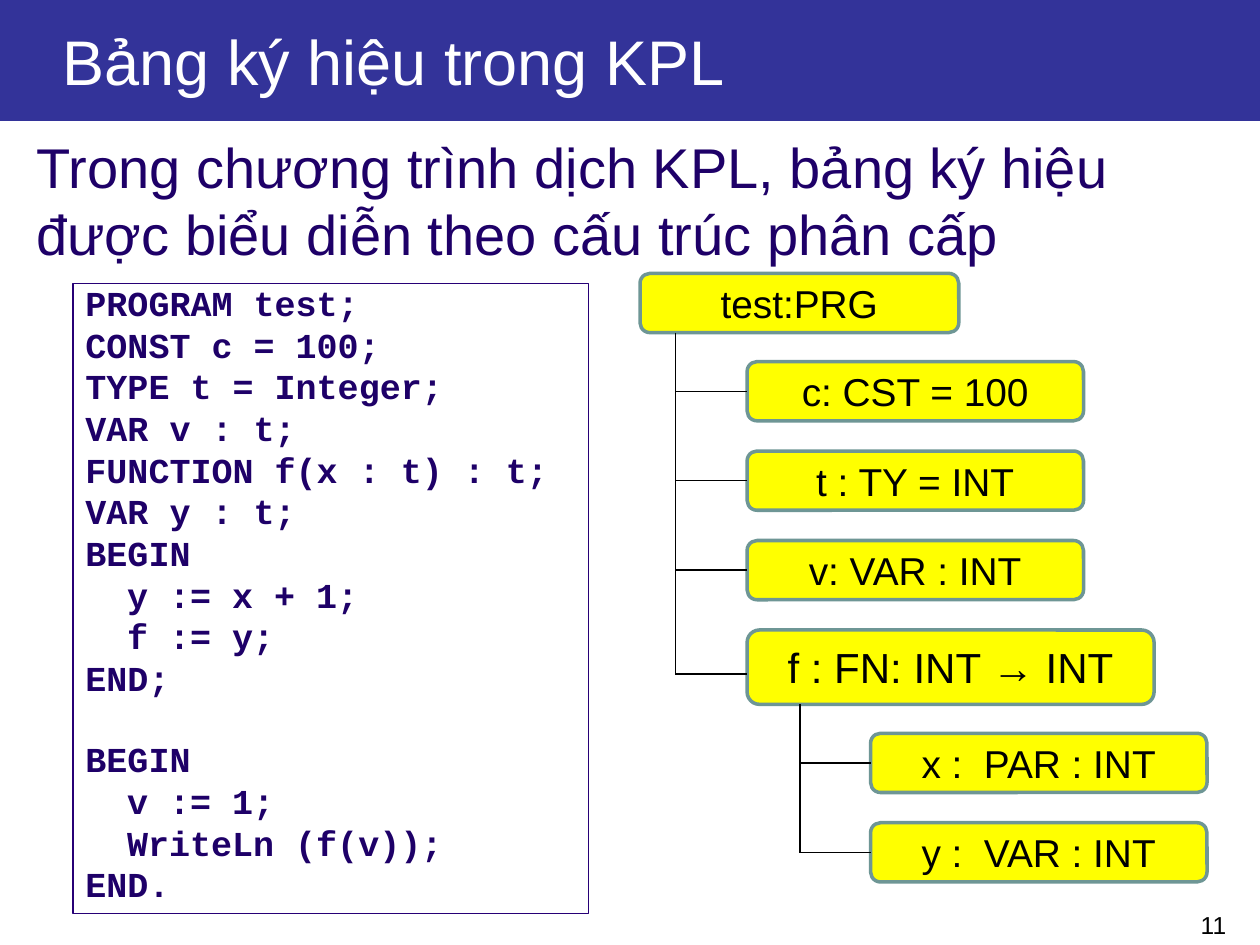
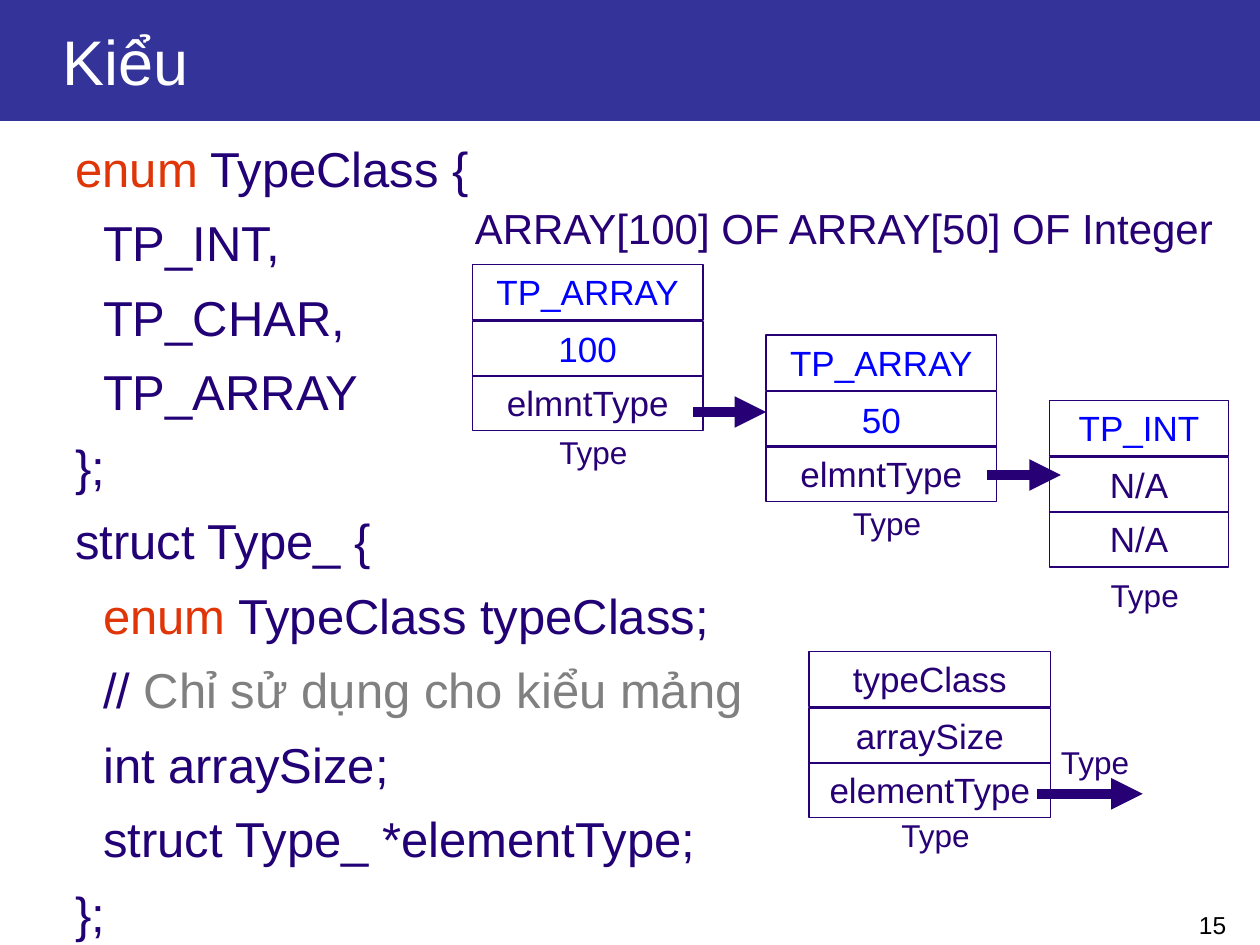
from pptx import Presentation
from pptx import util as u
from pptx.dml.color import RGBColor
from pptx.enum import shapes, text
from pptx.oxml.ns import qn
from lxml import etree

INDIGO, INK, CODE, PURPLE = "333399", "270076", "1E0068", "220076"
RED, GREY, BLUE = "DF3507", "808080", "0000FF"
BLACK, WHITE, YELLOW, TEAL = "000000", "FFFFFF", "FFFF00", "6E9695"
LEFT, CENTER, RIGHT = (text.PP_ALIGN.LEFT, text.PP_ALIGN.CENTER,
                       text.PP_ALIGN.RIGHT)
TOP, MIDDLE = text.MSO_ANCHOR.TOP, text.MSO_ANCHOR.MIDDLE
RECT, ROUND = (shapes.MSO_SHAPE.RECTANGLE,
               shapes.MSO_SHAPE.ROUNDED_RECTANGLE)
NODE_H, NODE_STEP = 0.47, 0.71


def rgb(value):
    """Turn a hex string into a colour."""
    return RGBColor.from_string(value)


def inches(values):
    """Turn numbers into lengths."""
    return [u.Inches(v) for v in values]


def set_all(obj, values):
    """Set attributes from a dict."""
    for name, value in values.items():
        setattr(obj, name, value)


def set_frame(sp, anchor=TOP, left=0.1):
    """Set margins, wrapping and anchor of a shape's text frame."""
    tf = sp.text_frame
    side, edge = u.Inches(0.1), u.Inches(0.05)
    set_all(tf, {"word_wrap": True, "vertical_anchor": anchor,
                 "margin_left": u.Inches(left), "margin_right": side,
                 "margin_top": edge, "margin_bottom": edge})
    return tf


def add_run(p, content, size, color, font="Arial", bold=False):
    """Append a formatted run to a paragraph."""
    r = p.add_run()
    r.text = content
    set_all(r.font, {"size": u.Pt(size), "name": font, "bold": bold})
    r.font.color.rgb = rgb(color)


def write(sp, content, size, color, align=LEFT, anchor=TOP, left=0.1):
    """Write one paragraph into a shape."""
    p = set_frame(sp, anchor, left).paragraphs[0]
    p.alignment = align
    add_run(p, content, size, color)


def add_label(s, box, content, size, color, align=LEFT):
    """Add a text box with one paragraph."""
    write(s.shapes.add_textbox(*inches(box)), content, size, color, align)


def add_box(s, box, kind=RECT, fill=None, line=None, width=0.75):
    """Add a preset shape without shadow."""
    sp = s.shapes.add_shape(kind, *inches(box))
    sp.shadow.inherit = False
    if fill:
        sp.fill.solid()
        sp.fill.fore_color.rgb = rgb(fill)
    else:
        sp.fill.background()
    if line:
        sp.line.color.rgb = rgb(line)
        sp.line.width = u.Pt(width)
    else:
        sp.line.fill.background()
    return sp


def add_line(s, ends, color=BLACK, width=0.75, arrow=False):
    """Add a straight connector, with an arrowhead if asked."""
    cn = s.shapes.add_connector(shapes.MSO_CONNECTOR.STRAIGHT, *inches(ends))
    cn.line.color.rgb = rgb(color)
    cn.line.width = u.Pt(width)
    if arrow:
        etree.SubElement(cn.line._get_or_add_ln(), qn("a:tailEnd"),
                         type="triangle")
    etree.SubElement(cn._element.spPr, qn("a:effectLst"))
    return cn


def add_arrow(s, x1, x2, y):
    """Add a thick horizontal pointer arrow."""
    add_line(s, (x1, y, x2, y), INK, 6, arrow=True)


def add_code(sp, lines, indent, size, spacing, before, **font):
    """Write code lines given as (level, runs, extra space before)."""
    tf = set_frame(sp)
    for i, (level, runs, extra) in enumerate(lines):
        p = tf.add_paragraph() if i else tf.paragraphs[0]
        set_all(p, {"alignment": LEFT, "line_spacing": spacing,
                    "space_before": u.Pt(before + extra)})
        p._p.get_or_add_pPr().set("marL", str(u.Inches(indent * level)))
        for content, color in runs:
            add_run(p, content, size, color, **font)


def add_node(s, x, y, w, content, h=NODE_H, size=22.2):
    """Add a yellow symbol node."""
    sp = add_box(s, (x, y, w, h), ROUND, YELLOW, TEAL, 2)
    write(sp, content, size, BLACK, CENTER, MIDDLE)
    return sp


def add_children(s, trunk_x, x, y, labels):
    """Add equally spaced nodes, each joined to the trunk."""
    for i, content in enumerate(labels):
        top = y + i * NODE_STEP
        sp = add_node(s, x, top, 2.67, content)
        mid = top + NODE_H / 2
        add_line(s, (trunk_x, mid, x, mid)).end_connect(sp, 1)


def add_record(s, x, y, w, fields, caption_y):
    """Add a three-field record with its type name below."""
    for offset, (content, color) in zip((0, 0.45, 0.88), fields):
        sp = add_box(s, (x, y + offset, w, 0.44), line=INK)
        write(sp, content, 20, color, CENTER)
    add_label(s, (x + w / 2 - 0.52, caption_y, 1.13, 0.4), "Type", 18, INK,
              CENTER)


def add_base(prs, title, number):
    """Add a slide with title band and page number."""
    s = prs.slides.add_slide(prs.slide_layouts[6])
    write(add_box(s, (0, 0, 10, 0.96), fill=INDIGO), title, 36, WHITE,
          anchor=MIDDLE, left=0.5)
    add_label(s, (7.75, 7.17, 2.08, 0.24), number, 14, BLACK, RIGHT)
    return s


def build_symbol_table(prs):
    """Build the slide on the hierarchical symbol table."""
    s = add_base(prs, "Bảng ký hiệu trong KPL", "11")
    add_label(s, (0.19, 1, 9.64, 1.23),
              "Trong chương trình dịch KPL, bảng ký hiệu được biểu diễn "
              "theo cấu trúc phân cấp", 32, CODE)
    program = [(0, "PROGRAM test;", 0), (0, "CONST c = 100;", 0),
               (0, "TYPE t = Integer;", 0), (0, "VAR v : t;", 0),
               (0, "FUNCTION f(x : t) : t;", 0), (0, "VAR y : t;", 0),
               (0, "BEGIN", 0), (1, "y := x + 1;", 0), (1, "f := y;", 0),
               (0, "END;", 0), (0, "BEGIN", 22.7), (1, "v := 1;", 0),
               (1, "WriteLn (f(v));", 0), (0, "END.", 0)]
    add_code(add_box(s, (0.58, 2.25, 4.09, 5), line=INK),
             [(level, [(line, CODE)], gap) for level, line, gap in program],
             0.33, 20, 0.8, 4.6, font="Courier New", bold=True)

    add_node(s, 5.08, 2.17, 2.53, "test:PRG")
    add_line(s, (5.36, 2.64, 5.36, 5.35))
    add_children(s, 5.36, 5.93, 2.87,
                 ["c: CST = 100", "t : TY = INT", "v: VAR : INT"])
    add_node(s, 5.93, 5, 3.23, "f : FN: INT → INT", 0.59, 24)
    add_line(s, (5.36, 5.35, 5.93, 5.35))
    add_line(s, (6.35, 5.59, 6.35, 6.77))
    add_children(s, 6.35, 6.91, 5.82, ["x :  PAR : INT", "y :  VAR : INT"])


def build_types(prs):
    """Build the slide on type records."""
    s = add_base(prs, "Kiểu", "15")
    source = [(0, [("enum", RED), (" TypeClass {", PURPLE)]),
              (1, [("TP_INT,", PURPLE)]),
              (1, [("TP_CHAR,", PURPLE)]),
              (1, [("TP_ARRAY", PURPLE)]),
              (0, [("};", PURPLE)]),
              (0, [("struct Type_ {", PURPLE)]),
              (1, [("enum", RED), (" TypeClass typeClass;", PURPLE)]),
              (1, [("// ", PURPLE), ("Chỉ sử dụng cho kiểu mảng", GREY)]),
              (1, [("int arraySize;", PURPLE)]),
              (1, [("struct Type_ *elementType;", PURPLE)]),
              (0, [("};", PURPLE)])]
    add_code(s.shapes.add_textbox(*inches((0.5, 1, 6.08, 6.33))),
             [(level, runs, 0) for level, runs in source],
             0.22, 28, 1.1, 5.6)

    add_record(s, 6.42, 5.17, 1.92, [("typeClass", INK), ("arraySize", INK),
                                     ("elementType", INK)], 6.43)
    add_arrow(s, 8.23, 9.07, 6.3)
    add_label(s, (8.23, 5.85, 0.83, 0.4), "Type", 18, INK, RIGHT)

    add_label(s, (3.67, 1.56, 6.17, 0.5),
              "ARRAY[100] OF ARRAY[50] OF Integer", 24, INK)
    for x, y, count in ((3.75, 2.1, "100"), (6.08, 2.66, "50")):
        add_record(s, x, y, 1.83, [("TP_ARRAY", BLUE), (count, BLUE),
                                   ("elmntType", INK)], y + 1.29)
    add_record(s, 8.33, 3.18, 1.42, [("TP_INT", BLUE), ("N/A", INK),
                                     ("N/A", INK)], 4.52)
    add_arrow(s, 5.5, 6.08, 3.27)
    add_arrow(s, 7.83, 8.42, 3.77)


def main():
    """Build and save the presentation."""
    prs = Presentation()
    set_all(prs, {"slide_width": u.Inches(10), "slide_height": u.Inches(7.5)})
    build_symbol_table(prs)
    build_types(prs)
    prs.save("out.pptx")


if __name__ == "__main__":
    main()
